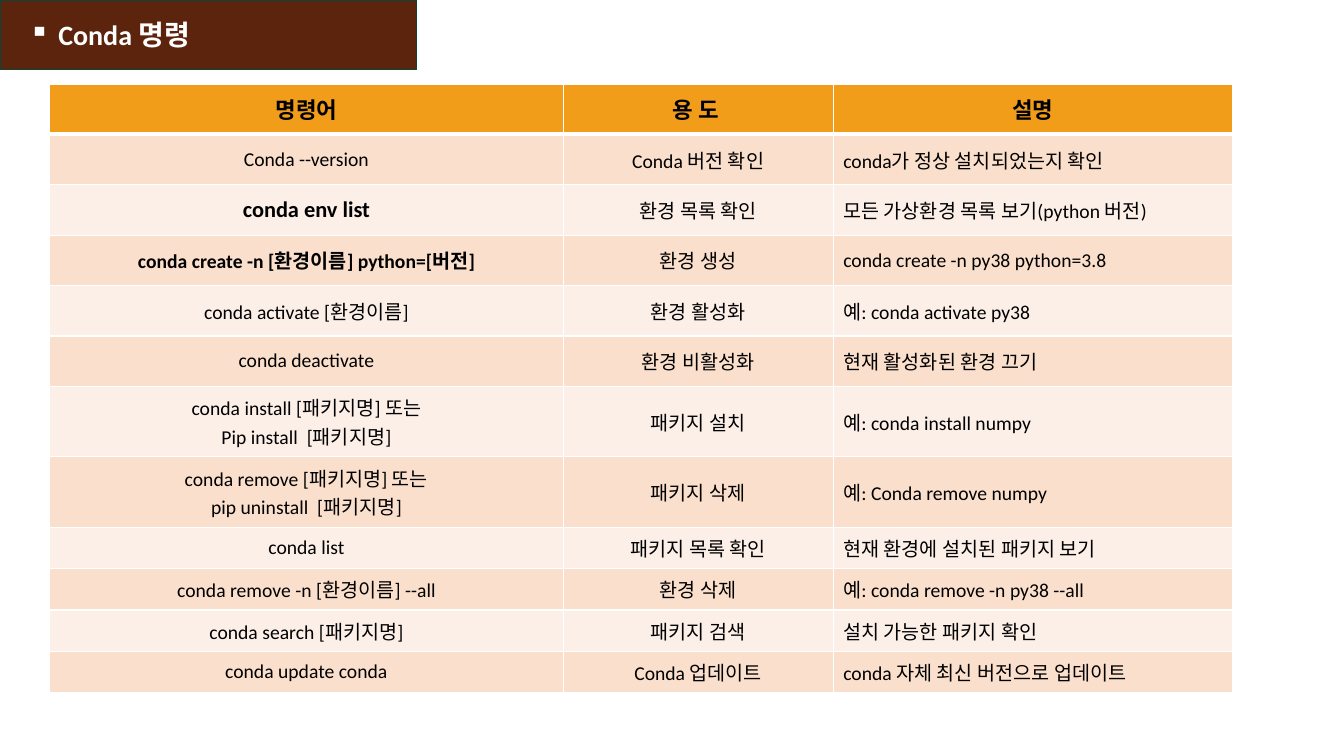
"""Build a slide with a table of conda commands."""
from dataclasses import dataclass

from lxml import etree
from pptx import Presentation, util as u
from pptx.dml.color import RGBColor
from pptx.enum import shapes, text
from pptx.oxml import ns

W, H = 13.33, 7.5
FONT = "Calibri"
WHITE, BLACK = "FFFFFF", "000000"
BROWN, GREEN, ORANGE = "5C240C", "0D4335", "F19D19"
BANDS = ("FADFCC", "FCEFE8")
COL_WIDTHS = (38.2, 20.1, 29.7)
HEADINGS = ("명령어", "용 도 ", "설명")
TALL, MEDIUM, SHORT = 9.33, 6.67, 5.47


@dataclass
class Command:
    """One table row: command, purpose, explanation and its look."""
    command: str
    purpose: str
    note: str
    height: float = MEDIUM
    size: int = 14
    bold: bool = False


COMMANDS = (
    Command("Conda --version", "Conda 버전 확인", "conda가 정상 설치되었는지 확인"),
    Command("conda env list", "환경 목록 확인", "모든 가상환경 목록 보기(python 버전)",
            size=16, bold=True),
    Command("conda create -n [환경이름] python=[버전]", "환경 생성",
            "conda create -n py38 python=3.8", bold=True),
    Command("conda activate [환경이름]", "환경 활성화", "예: conda activate py38"),
    Command("conda deactivate", "환경 비활성화", "현재 활성화된 환경 끄기"),
    Command("conda install [패키지명] 또는\nPip install  [패키지명]", "패키지 설치",
            "예: conda install numpy", TALL),
    Command("conda remove [패키지명] 또는\npip uninstall  [패키지명]", "패키지 삭제",
            "예: Conda remove numpy", TALL),
    Command("conda list", "패키지 목록 확인", "현재 환경에 설치된 패키지 보기", SHORT),
    Command("conda remove -n [환경이름] --all", "환경 삭제",
            "예: conda remove -n py38 --all", SHORT),
    Command("conda search [패키지명]", "패키지 검색", "설치 가능한 패키지 확인", SHORT),
    Command("conda update conda", "Conda 업데이트", "conda 자체 최신 버전으로 업데이트", SHORT),
)


def cols(n: float) -> int:
    """Return n hundredths of the slide width."""
    return u.Inches(W * n / 100)


def rows(n: float) -> int:
    """Return n hundredths of the slide height."""
    return u.Inches(H * n / 100)


def rgb(color: str) -> RGBColor:
    """Turn a hex string into a colour."""
    return RGBColor.from_string(color)


def add_run(p, words: str, size: float, color: str, bold: bool) -> None:
    """Add one formatted run to a paragraph."""
    r = p.add_run()
    r.text = words
    r.font.name, r.font.size, r.font.bold = FONT, u.Pt(size), bold
    r.font.color.rgb = rgb(color)


def add_border(cell, side: str, width: float, index: int) -> None:
    """Draw a white border on one side of a cell."""
    ln = etree.Element(ns.qn(f"a:ln{side}"), w=str(u.Pt(width)))
    fill = etree.SubElement(ln, ns.qn("a:solidFill"))
    etree.SubElement(fill, ns.qn("a:srgbClr"), val=WHITE)
    cell._tc.get_or_add_tcPr().insert(index, ln)


def fill_cell(cell, words: str, fill: str, align, size: float = 14,
              bold: bool = False, top: float = 1, bottom: float = 1) -> None:
    """Write, colour and frame one table cell."""
    cell.fill.solid()
    cell.fill.fore_color.rgb = rgb(fill)
    cell.vertical_anchor = text.MSO_ANCHOR.MIDDLE
    tf = cell.text_frame
    for i, line in enumerate(words.split("\n")):
        p = tf.add_paragraph() if i else tf.paragraphs[0]
        p.alignment = align
        add_run(p, line, size, BLACK, bold)
    for i, (side, width) in enumerate(zip("LRTB", (1, 1, top, bottom))):
        add_border(cell, side, width, i)


def add_title(s, words: str) -> None:
    """Add the dark title bar with its square bullet."""
    sp = s.shapes.add_shape(shapes.MSO_SHAPE.RECTANGLE, 0, 0, cols(31), rows(9.2))
    sp.shadow.inherit = False
    sp.fill.solid()
    sp.fill.fore_color.rgb = rgb(BROWN)
    sp.line.color.rgb = rgb(GREEN)
    sp.line.width = u.Pt(1)
    tf = sp.text_frame
    tf.vertical_anchor = text.MSO_ANCHOR.MIDDLE
    p = tf.paragraphs[0]
    p.alignment = text.PP_ALIGN.LEFT
    pPr = p._p.get_or_add_pPr()
    pPr.set("marL", str(u.Inches(0.48)))
    pPr.set("indent", str(u.Inches(-0.29)))
    etree.SubElement(pPr, ns.qn("a:buChar"), char="▪")
    add_run(p, words, 20, WHITE, True)


def add_commands(s) -> None:
    """Add the table of commands."""
    heights = [MEDIUM] + [c.height for c in COMMANDS]
    frame = s.shapes.add_table(len(heights), len(COL_WIDTHS), cols(3.7), rows(11.1),
                               cols(sum(COL_WIDTHS)), rows(sum(heights)))
    table = frame.table
    for column, width in zip(table.columns, COL_WIDTHS):
        column.width = cols(width)
    for row, height in zip(table.rows, heights):
        row.height = rows(height)
    center, left = text.PP_ALIGN.CENTER, text.PP_ALIGN.LEFT
    for i, heading in enumerate(HEADINGS):
        fill_cell(table.cell(0, i), heading, ORANGE, center, 16, True, bottom=3)
    for i, c in enumerate(COMMANDS, 1):
        band, top = BANDS[(i - 1) % 2], 3 if i == 1 else 1
        fill_cell(table.cell(i, 0), c.command, band, center, c.size, c.bold, top)
        fill_cell(table.cell(i, 1), c.purpose, band, center, top=top)
        fill_cell(table.cell(i, 2), c.note, band, left, top=top)


def main() -> None:
    """Build and save the slide."""
    prs = Presentation()
    prs.slide_width, prs.slide_height = u.Inches(W), u.Inches(H)
    s = prs.slides.add_slide(prs.slide_layouts[6])
    add_title(s, "Conda 명령")
    add_commands(s)
    prs.save("out.pptx")


if __name__ == "__main__":
    main()
